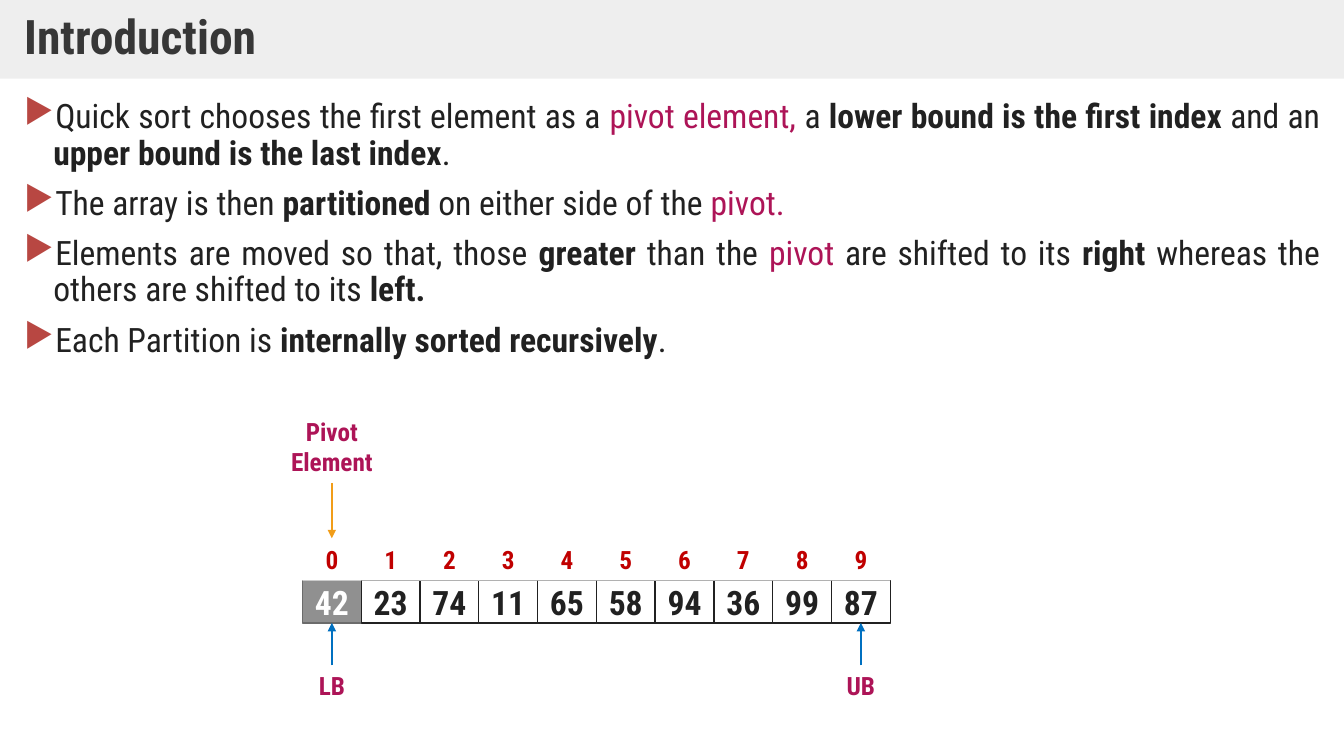
from lxml import etree
from pptx import Presentation
from pptx.dml.color import RGBColor
from pptx.enum import shapes, text
from pptx.oxml import ns
from pptx.util import Inches, Pt

FONT = "Roboto Condensed"
INK, MAGENTA, RED, WHITE = "212121", "AD1457", "C00000", "FFFFFF"
PLAIN, BOLD, ACCENT = {}, {"bold": True}, {"color": MAGENTA}
CENTER, JUSTIFY = text.PP_ALIGN.CENTER, text.PP_ALIGN.JUSTIFY

POINTS = [
    [("Quick sort chooses the first element as a ", PLAIN),
     ("pivot element, ", ACCENT), ("a ", PLAIN),
     ("lower bound is the first index ", BOLD), ("and an ", PLAIN),
     ("upper bound is the last index", BOLD), (".", PLAIN)],
    [("The array is then ", PLAIN), ("partitioned", BOLD),
     (" on either side of the ", PLAIN), ("pivot.", ACCENT)],
    [("Elements are moved so that, those ", PLAIN), ("greater", BOLD),
     (" than the ", PLAIN), ("pivot", ACCENT),
     (" are shifted to its ", PLAIN), ("right ", BOLD),
     ("whereas the others are shifted to its ", PLAIN), ("left.", BOLD)],
    [("Each Partition is ", PLAIN),
     ("internally sorted recursively", BOLD), (".", PLAIN)],
]
ARRAY = [42, 23, 74, 11, 65, 58, 94, 36, 99, 87]


def rgb(value):
    return RGBColor.from_string(value)


def child(parent, tag, **attributes):
    return etree.SubElement(parent, ns.qn(tag), attributes)


def add_run(paragraph, words, size=18, color=INK, bold=False):
    run = paragraph.add_run()
    run.text = words
    run.font.name, run.font.size, run.font.bold = FONT, Pt(size), bold
    run.font.color.rgb = rgb(color)


def write(shape, words, align=CENTER, wrap=True,
          anchor=text.MSO_ANCHOR.MIDDLE, **style):
    """Write one paragraph for each line of words."""
    frame = shape.text_frame
    frame.word_wrap, frame.vertical_anchor = wrap, anchor
    for number, line in enumerate(words.split("\n")):
        paragraph = frame.add_paragraph() if number else frame.paragraphs[0]
        paragraph.alignment = align
        add_run(paragraph, line, **style)


def add_title(slide, left, top, width, height):
    title = slide.shapes.title
    title.left, title.top = Inches(left), Inches(top)
    title.width, title.height = Inches(width), Inches(height)
    title.fill.solid()
    title.fill.fore_color.rgb = rgb("DFDFDF")
    band_color = title.fill._xPr.find(".//" + ns.qn("a:srgbClr"))
    child(band_color, "a:alpha", val="50000")
    frame = title.text_frame
    frame.margin_left = frame.margin_right = Inches(0.24)
    frame.margin_top = frame.margin_bottom = Inches(0.12)
    write(title, "Introduction", align=text.PP_ALIGN.LEFT,
          size=34, color="373737", bold=True)
    frame.paragraphs[0].line_spacing = 0.9


def add_points(slide, left, top, width, height):
    body = slide.shapes.add_textbox(
        Inches(left), Inches(top), Inches(width), Inches(height))
    frame = body.text_frame
    frame.word_wrap = True
    for number, runs in enumerate(POINTS):
        paragraph = frame.add_paragraph() if number else frame.paragraphs[0]
        # Triangle bullet with a hanging indent
        properties = paragraph._p.get_or_add_pPr()
        properties.set("marL", str(Inches(0.29)))
        properties.set("indent", str(Inches(-0.29)))
        child(child(properties, "a:buClr"), "a:srgbClr", val="B84742")
        child(properties, "a:buChar", char="▶")
        paragraph.alignment, paragraph.line_spacing = JUSTIFY, 0.9
        if number:
            paragraph.space_before = Pt(10)
        for words, style in runs:
            add_run(paragraph, words, size=24, **style)


def add_cell(slide, left, top, width, height, words, fill=WHITE, border=None,
             **style):
    cell = slide.shapes.add_shape(
        shapes.MSO_SHAPE.RECTANGLE,
        Inches(left), Inches(top), Inches(width), Inches(height))
    cell.shadow.inherit = False
    cell.fill.solid()
    cell.fill.fore_color.rgb = rgb(fill)
    if border:
        cell.line.color.rgb = rgb(border)
        cell.line.width = Pt(1)
    else:
        cell.line.fill.background()
    write(cell, words, bold=True, **style)
    return cell


def add_label(slide, center, top, width, height, words):
    label = slide.shapes.add_textbox(
        Inches(center - width / 2), Inches(top), Inches(width), Inches(height))
    write(label, words, wrap=False, anchor=text.MSO_ANCHOR.TOP,
          color=MAGENTA, bold=True)
    label.text_frame.auto_size = text.MSO_AUTO_SIZE.SHAPE_TO_FIT_TEXT
    return label


def add_arrow(slide, label, label_side, cell, cell_side, color):
    arrow = slide.shapes.add_connector(
        shapes.MSO_CONNECTOR.STRAIGHT, 0, 0, 0, 0)
    arrow.begin_connect(label, label_side)
    arrow.end_connect(cell, cell_side)
    arrow.line.color.rgb = rgb(color)
    arrow.line.width = Pt(1)
    child(arrow.line._get_or_add_ln(), "a:tailEnd", type="triangle")
    child(arrow._element.spPr, "a:effectLst")


def add_array(slide, left, top, width, height):
    """Array with its index row above, pivot label on top, bounds below."""
    step = width / len(ARRAY)
    row = 0.42
    index_top = top + 1.26
    value_top = index_top + row
    bound_top = top + height - 0.4

    # Value cells, the pivot shaded
    values = []
    for index, number in enumerate(ARRAY):
        look = {"border": INK} if index else {
            "fill": "909090", "border": "6B6B6B", "color": WHITE}
        values.append(add_cell(slide, left + index * step, value_top, step,
                               row, str(number), size=24, **look))

    # Index row
    indices = [add_cell(slide, left + index * step, index_top, step, row,
                        str(index), color=RED)
               for index in range(len(ARRAY))]

    # Lower and upper bounds
    first, last = left + step / 2, left + width - step / 2
    for name, center, cell in (("LB", first, values[0]),
                               ("UB", last, values[-1])):
        bound = add_label(slide, center, bound_top, 0.48, 0.4, name)
        add_arrow(slide, bound, 0, cell, 2, "0070C0")

    # Pivot
    pivot = add_label(slide, first, top, 1.02, 0.71, "Pivot\nElement")
    add_arrow(slide, pivot, 2, indices[0], 0, "F19D19")


def main():
    deck = Presentation()
    deck.slide_width, deck.slide_height = Inches(13.33), Inches(7.5)
    slide = deck.slides.add_slide(deck.slide_layouts[5])
    add_title(slide, 0, 0, 13.33, 0.78)
    add_points(slide, 0.14, 0.94, 13.05, 6.11)
    add_array(slide, 3, 4.08, 5.83, 2.92)
    deck.save("out.pptx")


if __name__ == "__main__":
    main()
